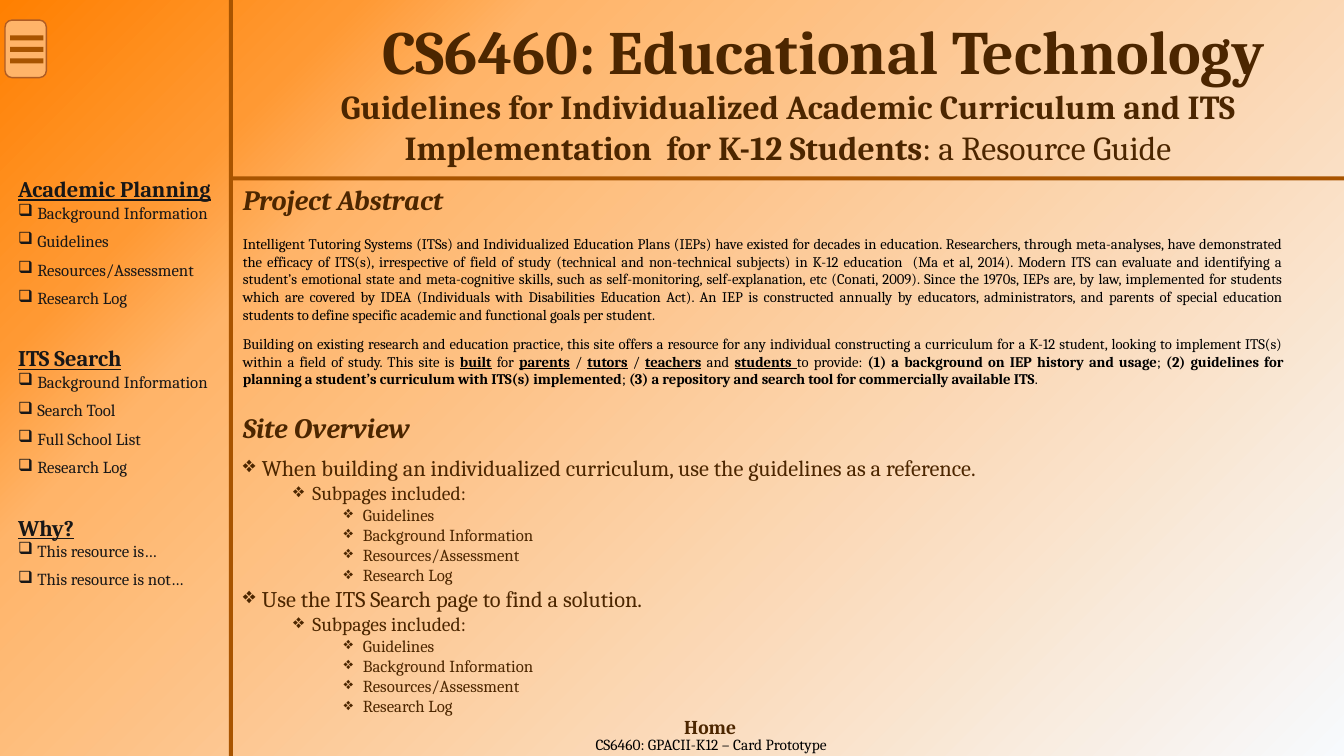
from pptx import Presentation
from pptx.dml.color import RGBColor
from pptx.enum.shapes import MSO_SHAPE as Shape
from pptx.enum.text import MSO_ANCHOR as Anchor, MSO_AUTO_SIZE as AutoSize, PP_ALIGN as Align
from pptx.oxml import parse_xml
from pptx.oxml.ns import nsdecls, qn
from pptx.util import Inches, Pt

FONT = "Cambria"
BROWN, RULE, BLACK, INK, PEACH = "4C2600", "A85400", "000000", "181717", "FFB469"
RULE_WIDTH = 0.04

# Background stops: position in percent, colour, opacity in percent
BACKGROUND_STOPS = [(0, "F7FAFD", 100), (74, PEACH, 75), (83, "FF9933", 75), (100, "FF8001", 100)]

MENU = {
    "Academic Planning": ["Background Information", "Guidelines", "Resources/Assessment", "Research Log"],
    "ITS Search": ["Background Information", "Search Tool", "Full School List", "Research Log"],
    "Why?": ["This resource is…", "This resource is not…"],
}

# Abstract paragraphs as runs of (text, style): "b" bold, "u" underlined
ABSTRACT = [
    [("Intelligent Tutoring Systems (ITSs) and Individualized Education Plans (IEPs) have existed for "
      "decades in education. Researchers, through meta-analyses, have demonstrated the efficacy of ITS(s), "
      "irrespective of field of study (technical and non-technical subjects) in K-12 education  (Ma et al, "
      "2014). Modern ITS can evaluate and identifying a student’s emotional state and meta-cognitive skills, "
      "such as self-monitoring, self-explanation, etc (Conati, 2009). Since the 1970s, IEPs are, by law, "
      "implemented for students which are covered by IDEA (Individuals with Disabilities Education Act). An "
      "IEP is constructed annually by educators, administrators, and parents of special education students "
      "to define specific academic and functional goals per student. ", "")],
    [("Building on existing research and education practice, this site offers a resource for any individual "
      "constructing a curriculum for a K-12 student, looking to implement ITS(s) within a field of study. "
      "This site is ", ""), ("built", "bu"), (" for ", ""), ("parents", "bu"), (" / ", ""),
     ("tutors", "bu"), (" / ", ""), ("teachers", "bu"), (" and ", ""), ("students ", "bu"),
     ("to provide: ", ""), ("(1) a background on IEP history and usage", "b"), ("; ", ""),
     ("(2) guidelines for planning a student’s curriculum with ITS(s) implemented", "b"), ("; ", ""),
     ("(3) a repository and search tool for commercially available ITS", "b"), (".", "")],
]

OVERVIEW = [
    "When building an individualized curriculum, use the guidelines as a reference.",
    "Use the ITS Search page to find a solution.",
]
SUBPAGES = ["Guidelines", "Background Information", "Resources/Assessment", "Research Log"]


def color(value):
    return RGBColor.from_string(value)


def format_run(run, size, ink, style=""):
    font = run.font
    font.name, font.size, font.color.rgb = FONT, Pt(size), color(ink)
    font.bold, font.italic, font.underline = "b" in style, "i" in style, "u" in style


def write_runs(paragraph, runs, size, ink):
    for text, style in runs:
        run = paragraph.add_run()
        run.text = text
        format_run(run, size, ink, style)


def add_bullet(paragraph, mark, left):
    properties = paragraph._p.get_or_add_pPr()
    properties.set("marL", str(Inches(left)))
    properties.set("indent", str(Inches(-0.19)))
    properties.append(parse_xml(f'<a:buChar {nsdecls("a")} char="{mark}"/>'))


def next_paragraph(frame):
    first = frame.paragraphs[0]
    return first if not first.runs else frame.add_paragraph()


def add_text_box(slide, box, anchor=Anchor.TOP, wrap=True, grow=False):
    frame = slide.shapes.add_textbox(*map(Inches, box)).text_frame
    frame.word_wrap, frame.vertical_anchor = wrap, anchor
    frame.auto_size = AutoSize.SHAPE_TO_FIT_TEXT if grow else AutoSize.NONE
    return frame


def add_line(slide, box, runs, size, ink, align=Align.CENTER, **options):
    paragraph = add_text_box(slide, box, **options).paragraphs[0]
    paragraph.alignment = align
    write_runs(paragraph, runs, size, ink)


def add_block(slide, box, fill, kind=Shape.RECTANGLE, line=None):
    shape = slide.shapes.add_shape(kind, *map(Inches, box))
    shape.shadow.inherit = False
    shape.fill.solid()
    shape.fill.fore_color.rgb = color(fill)
    if line:
        shape.line.color.rgb, shape.line.width = color(line), Pt(1)
    else:
        shape.line.fill.background()


def set_background(slide):
    slide.background.fill.solid()
    properties = slide.element.find(".//" + qn("p:bgPr"))
    stops = "".join(
        f'<a:gs pos="{position * 1000}"><a:srgbClr val="{value}">'
        f'<a:alpha val="{opacity * 1000}"/></a:srgbClr></a:gs>'
        for position, value, opacity in BACKGROUND_STOPS)
    properties.replace(properties[0], parse_xml(
        f'<a:gradFill {nsdecls("a")} rotWithShape="1"><a:gsLst>{stops}</a:gsLst>'
        '<a:path path="circle"><a:fillToRect l="100000" t="100000"/></a:path></a:gradFill>'))


def add_menu_icon(slide, left, top, width, height):
    add_block(slide, (left, top, width, height), PEACH, Shape.ROUNDED_RECTANGLE, "AF5C24")
    for bar in range(3):
        add_block(slide, (left + 0.05, top + 0.15 + bar * 0.115, width - 0.08, 0.05), RULE)


def add_sidebar(slide, left, top, width, height):
    frame = add_text_box(slide, (left, top, width, height), wrap=False)
    frame.margin_left = frame.margin_top = frame.margin_right = frame.margin_bottom = 0
    for number, (heading, pages) in enumerate(MENU.items()):
        paragraph = next_paragraph(frame)
        paragraph.space_before = Pt(20 if number else 0)
        write_runs(paragraph, [(heading, "bu")], 16, INK)
        for page in pages:
            paragraph = frame.add_paragraph()
            paragraph.level, paragraph.space_after = 2, Pt(6)
            add_bullet(paragraph, "❑", 0.19)
            write_runs(paragraph, [(page, "")], 12, INK)


def add_header(slide, left, top, width):
    title = slide.shapes.title
    title.left, title.top, title.width, title.height = map(Inches, (left, top, width, 0.84))
    frame = title.text_frame
    frame.text = "CS6460: Educational Technology"
    frame.word_wrap, frame.vertical_anchor = True, Anchor.MIDDLE
    frame.auto_size = AutoSize.SHAPE_TO_FIT_TEXT
    frame.paragraphs[0].alignment = Align.CENTER
    format_run(frame.paragraphs[0].runs[0], 44, BROWN, "b")
    subtitle = [("Guidelines for Individualized Academic Curriculum and ITS Implementation  for K-12 Students", "b"),
                (": a Resource Guide", "")]
    add_line(slide, (left, top + 0.73, width - 0.71, 0.91), subtitle, 24, BROWN,
             anchor=Anchor.MIDDLE, grow=True)


def add_abstract(slide, left, top, width):
    add_line(slide, (left, top, 2.39, 0.44), [("Project Abstract", "bi")], 20, BROWN, Align.LEFT, grow=True)
    frame = add_text_box(slide, (left, top + 0.42, width, 1.82), Anchor.MIDDLE, grow=True)
    frame.margin_right = Inches(0.6)
    for runs in ABSTRACT:
        paragraph = next_paragraph(frame)
        paragraph.alignment, paragraph.space_after = Align.JUSTIFY, Pt(8.5)
        write_runs(paragraph, runs, 10.5, BLACK)


def add_overview(slide, left, top, width):
    add_line(slide, (left, top, 2.1, 0.44), [("Site Overview", "bi")], 20, BROWN, Align.LEFT, grow=True)
    frame = add_text_box(slide, (left, top + 0.39, width, 2.79), Anchor.MIDDLE, grow=True)
    for advice in OVERVIEW:
        entries = [(0, advice), (1, "Subpages included:")] + [(2, page) for page in SUBPAGES]
        for level, text in entries:
            paragraph = next_paragraph(frame)
            paragraph.level = level
            add_bullet(paragraph, "❖", 0.19 + 0.5 * level)
            write_runs(paragraph, [(text, "")], 16 - 2 * level, BROWN)


def add_footer(slide, left, top, width):
    add_line(slide, (left, top, width, 0.57), [("CS6460: GPACII-K12 – Card Prototype", "")], 11, BLACK,
             anchor=Anchor.MIDDLE)
    add_line(slide, (left + 3.16, top, 0.73, 0.22), [("Home", "b")], 14, BROWN,
             anchor=Anchor.MIDDLE, wrap=False)


def main():
    presentation = Presentation()
    presentation.slide_width, presentation.slide_height = Inches(13.33), Inches(7.5)
    slide = presentation.slides.add_slide(presentation.slide_layouts[5])
    set_background(slide)

    # Rules between sidebar, header and content
    content_left, content_width = 2.31, 11.02
    add_block(slide, (content_left - RULE_WIDTH, 0, RULE_WIDTH, 7.5), RULE)
    add_block(slide, (content_left, 1.75, content_width, RULE_WIDTH), RULE)

    # Regions
    add_footer(slide, 3.52, 7.1, 7.07)
    add_menu_icon(slide, 0.05, 0.2, 0.41, 0.57)
    add_header(slide, 3.06, 0.07, 10.22)
    add_abstract(slide, content_left, 1.76, content_width)
    add_overview(slide, content_left, 4.02, content_width)
    add_sidebar(slide, 0.18, 1.74, 2.04, 5.55)

    presentation.save("out.pptx")


if __name__ == "__main__":
    main()
